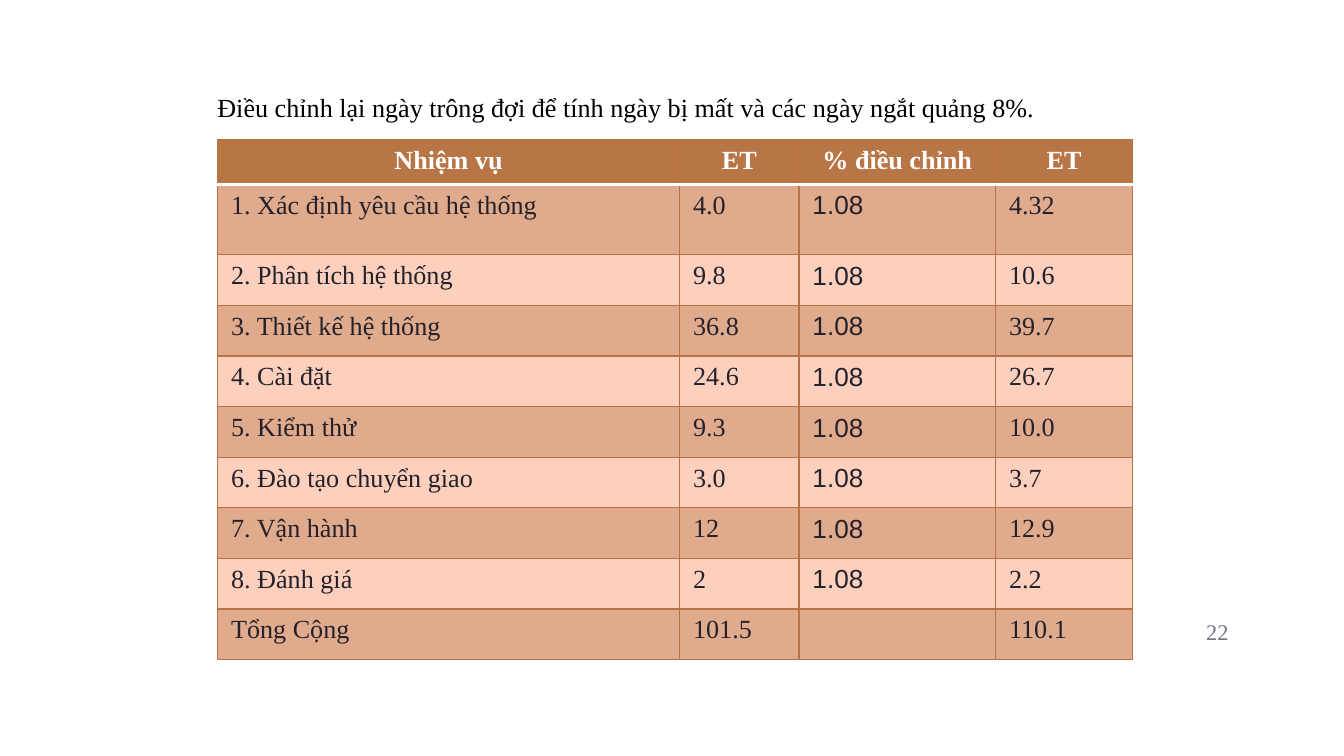
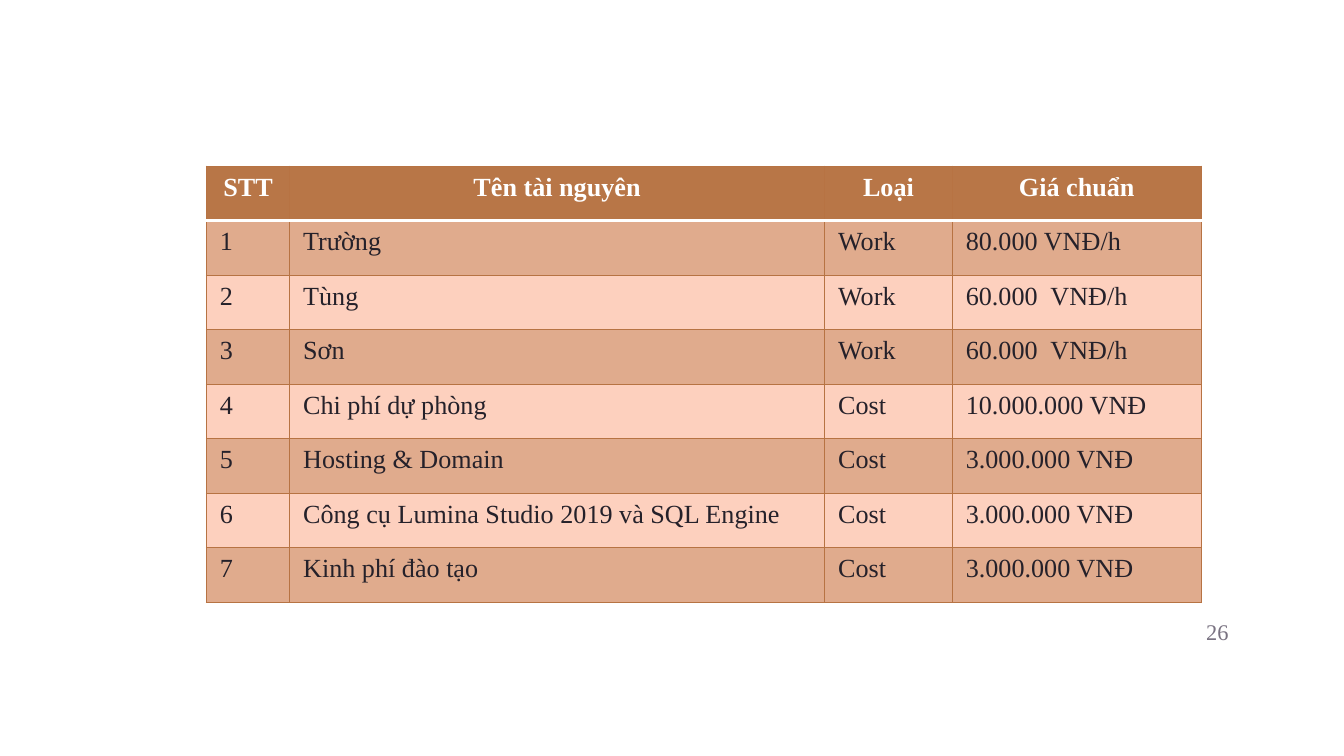
import pptx
import pptx.dml.color
import pptx.enum.text
import pptx.oxml
import pptx.oxml.ns
import pptx.util

Pt = pptx.util.Pt
RGBColor = pptx.dml.color.RGBColor
ALIGN = pptx.enum.text.PP_ALIGN
ANCHOR = pptx.enum.text.MSO_ANCHOR
AUTO_SIZE = pptx.enum.text.MSO_AUTO_SIZE

# Shared look
BROWN = RGBColor(0xB8, 0x76, 0x47)
BORDER = RGBColor(0xB7, 0x73, 0x43)
BAND_DARK = RGBColor(0xE0, 0xAB, 0x8D)
BAND_LIGHT = RGBColor(0xFD, 0xD0, 0xBE)
INK = RGBColor(0x25, 0x21, 0x2A)
GREY = RGBColor(0x79, 0x72, 0x81)
BLACK = RGBColor(0, 0, 0)
WHITE = RGBColor(0xFF, 0xFF, 0xFF)
SERIF, SANS = "Times New Roman", "Arial"
TEXT_SIZE = Pt(14)

# Slide contents
FACTOR = "1.08"
TASKS = [
    ("Nhiệm vụ", "ET", "% điều chỉnh", "ET"),
    ("1. Xác định yêu cầu hệ thống", "4.0", FACTOR, "4.32"),
    ("2. Phân tích hệ thống", "9.8", FACTOR, "10.6"),
    ("3. Thiết kế hệ thống", "36.8", FACTOR, "39.7"),
    ("4. Cài đặt", "24.6", FACTOR, "26.7"),
    ("5. Kiểm thử", "9.3", FACTOR, "10.0"),
    ("6. Đào tạo chuyển giao", "3.0", FACTOR, "3.7"),
    ("7. Vận hành", "12", FACTOR, "12.9"),
    ("8. Đánh giá", "2", FACTOR, "2.2"),
    ("Tổng Cộng", "101.5", "", "110.1"),
]
RESOURCES = [
    ("STT", "Tên tài nguyên", "Loại", "Giá chuẩn"),
    ("1", "Trường", "Work", "80.000 VNĐ/h"),
    ("2", "Tùng", "Work", "60.000  VNĐ/h"),
    ("3", "Sơn", "Work", "60.000  VNĐ/h"),
    ("4", "Chi phí dự phòng", "Cost", "10.000.000 VNĐ"),
    ("5", "Hosting & Domain", "Cost", "3.000.000 VNĐ"),
    ("6", "Công cụ Lumina Studio 2019 và SQL Engine", "Cost", "3.000.000 VNĐ"),
    ("7", "Kinh phí đào tạo", "Cost", "3.000.000 VNĐ"),
]


def write(p, text, color, align=None, **extra):
    """Put one formatted run in a paragraph."""
    p.alignment = align
    r = p.add_run()
    r.text = text
    font = {"name": SERIF, "size": TEXT_SIZE, "bold": False, **extra}
    for name, value in font.items():
        setattr(r.font, name, value)
    r.font.color.rgb = color


def add_text(s, box, text, color, align=None, frame=None, **extra):
    tf = s.shapes.add_textbox(*map(Pt, box)).text_frame
    for name, value in {"word_wrap": True, **(frame or {})}.items():
        setattr(tf, name, value)
    write(tf.paragraphs[0], text, color, align, **extra)


def add_page_number(s, number):
    inset = Pt(7.2)
    frame = {"vertical_anchor": ANCHOR.MIDDLE,
             "margin_top": inset, "margin_bottom": inset}
    add_text(s, (622, 322.6, 43.2, 31), str(number), GREY, ALIGN.RIGHT,
             frame, size=Pt(12))


def set_borders(cell, row):
    """Brown grid with a thick white rule under the header row."""
    tcPr = cell._tc.get_or_add_tcPr()
    for index, side in enumerate(("lnL", "lnR", "lnT", "lnB")):
        under_header = (row, side) in ((0, "lnB"), (1, "lnT"))
        color, width = (WHITE, Pt(2)) if under_header else (BORDER, Pt(0.75))
        line = pptx.oxml.parse_xml(
            f'<a:{side} {pptx.oxml.ns.nsdecls("a")} w="{width}">'
            f'<a:solidFill><a:srgbClr val="{color}"/></a:solidFill></a:{side}>')
        tcPr.insert(index, line)


def fill_cell(cell, text, row, align, font_name):
    if row == 0:
        fill, color, align, font_name = BROWN, WHITE, ALIGN.CENTER, SERIF
    else:
        fill, color = (BAND_DARK if row % 2 else BAND_LIGHT), INK
    cell.fill.solid()
    cell.fill.fore_color.rgb = fill
    set_borders(cell, row)
    p = cell.text_frame.paragraphs[0]
    if text:
        write(p, text, color, align, name=font_name, bold=row == 0)
    else:
        # Keeps an empty cell from stretching its row
        p._p.get_or_add_endParaRPr().set("sz", str(int(TEXT_SIZE.pt * 100)))


def add_grid(s, left, top, widths, heights, rows, align=None, sans_column=None):
    table = s.shapes.add_table(
        len(rows), len(widths), Pt(left), Pt(top),
        Pt(sum(widths)), Pt(sum(heights))).table
    for column, width in zip(table.columns, widths):
        column.width = Pt(width)
    for i, (height, texts) in enumerate(zip(heights, rows)):
        table.rows[i].height = Pt(height)
        for j, text in enumerate(texts):
            sans = j == sans_column
            fill_cell(table.cell(i, j), text, i, None if sans else align,
                      SANS if sans else SERIF)


def main():
    prs = pptx.Presentation()
    prs.slide_width, prs.slide_height = Pt(720), Pt(405)
    blank = prs.slide_layouts[6]

    # Adjusted task estimates
    s = prs.slides.add_slide(blank)
    add_page_number(s, 22)
    add_grid(s, 116.6, 74.7, (247.5, 64, 105.3, 73.4),
             [23, 37.8] + [27.1] * (len(TASKS) - 2), TASKS,
             ALIGN.JUSTIFY, sans_column=2)
    add_text(s, (109.4, 45.4, 547.2, 24.5),
             "Điều chỉnh lại ngày trông đợi để tính ngày bị mất "
             "và các ngày ngắt quảng 8%.",
             BLACK, frame={"auto_size": AUTO_SIZE.SHAPE_TO_FIT_TEXT})

    # Resource prices
    s = prs.slides.add_slide(blank)
    add_page_number(s, 26)
    add_grid(s, 110.6, 89, (44.6, 286.6, 68.4, 133.4),
             [29.2] * len(RESOURCES), RESOURCES)

    prs.save("out.pptx")


if __name__ == "__main__":
    main()
